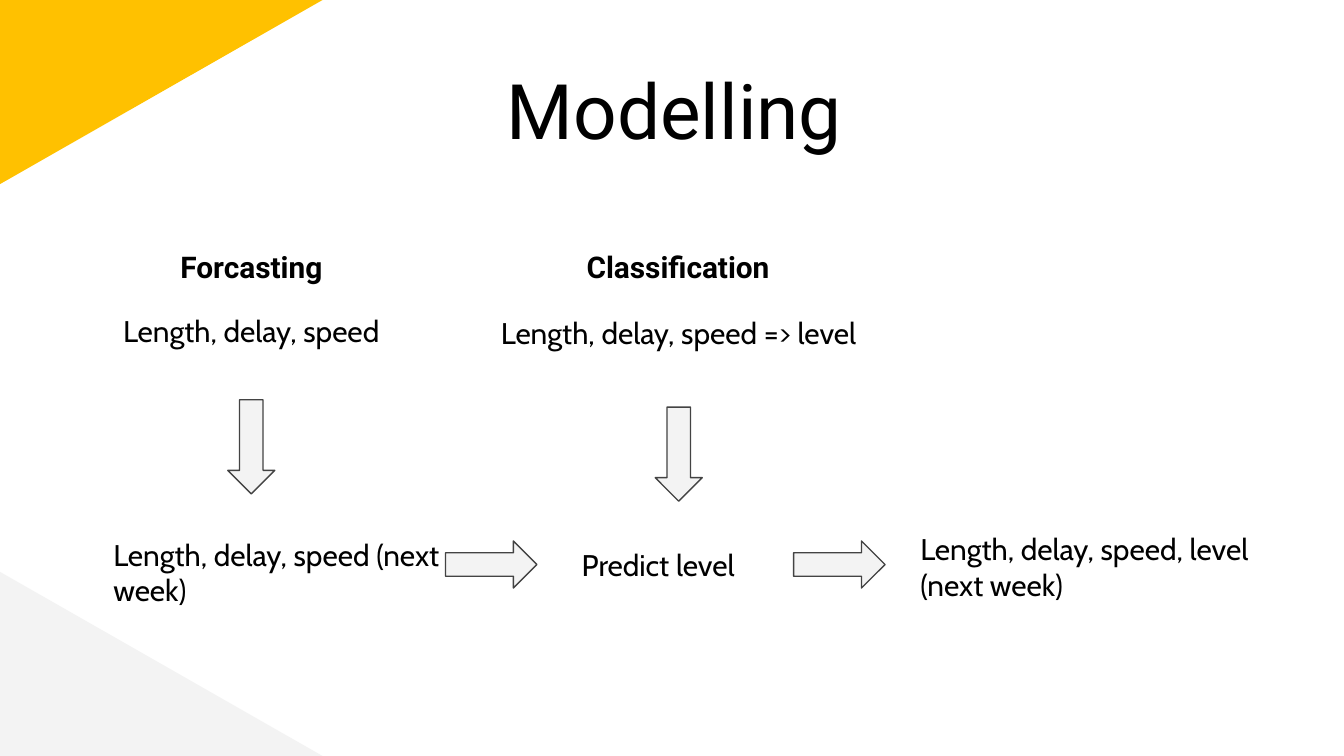
import dataclasses

import pptx
import pptx.dml.color
import pptx.enum.shapes
import pptx.enum.text
import pptx.util

PX = 4572  # EMU per px, 200 px to the inch
W, H = 2000, 1125
SHAPE = pptx.enum.shapes.MSO_SHAPE
ALIGN = pptx.enum.text.PP_ALIGN

HEADING = {"name": "Roboto", "size": pptx.util.Pt(41), "bold": False}
SUBHEADING = {"name": "Roboto", "size": pptx.util.Pt(16), "bold": True}
BODY = {"name": "Cabin", "size": pptx.util.Pt(16), "bold": False}


@dataclasses.dataclass
class Label:
    text: str
    x: int
    y: int
    w: int
    h: int
    fmt: dict
    align: int = ALIGN.LEFT


@dataclasses.dataclass
class Arrow:
    x: int
    y: int
    length: int
    rotation: int = 0


LABELS = [
    Label("Modelling", 118, 74, 1772, 126, HEADING, ALIGN.CENTER),
    Label("Forcasting", 175, 350, 398, 126, SUBHEADING, ALIGN.CENTER),
    Label("Classification", 744, 350, 530, 126, SUBHEADING, ALIGN.CENTER),
    Label("Length, delay, speed", 102, 446, 544, 92, BODY, ALIGN.CENTER),
    Label("Length, delay, speed => level", 654, 448, 712, 92, BODY, ALIGN.CENTER),
    Label("Length, delay, speed (next week)", 149, 778, 544, 126, BODY),
    Label("Predict level", 846, 794, 316, 92, BODY),
    Label("Length, delay, speed, level (next week)", 1350, 770, 580, 140, BODY),
]

# A rotation of 270 turns a down arrow to the right
ARROWS = [
    Arrow(339, 595, 140),
    Arrow(975, 606, 140),
    Arrow(696, 772, 136, 270),
    Arrow(1214, 772, 136, 270),
]


def rgb(value: str) -> pptx.dml.color.RGBColor:
    return pptx.dml.color.RGBColor.from_string(value)


def emu(*lengths: int) -> list[int]:
    return [n * PX for n in lengths]


def add_shape(slide, kind, x: int, y: int, w: int, h: int, fill: str, line: str = ""):
    s = slide.shapes.add_shape(kind, *emu(x, y, w, h))
    s.shadow.inherit = False
    s.fill.solid()
    s.fill.fore_color.rgb = rgb(fill)
    if line:
        s.line.color.rgb = rgb(line)
        s.line.width = pptx.util.Pt(0.75)
    else:
        s.line.fill.background()
    return s


def add_arrow(slide, arrow: Arrow) -> None:
    s = add_shape(slide, SHAPE.DOWN_ARROW, arrow.x, arrow.y, 70, arrow.length,
                  "F3F3F3", "434343")
    s.rotation = arrow.rotation


def add_label(slide, label: Label) -> None:
    tf = slide.shapes.add_textbox(*emu(label.x, label.y, label.w, label.h)).text_frame
    tf.word_wrap = True
    for side in ("left", "top", "right", "bottom"):
        setattr(tf, f"margin_{side}", 20 * PX)
    p = tf.paragraphs[0]
    p.alignment = label.align
    r = p.add_run()
    r.text = label.text
    for name, value in label.fmt.items():
        setattr(r.font, name, value)
    r.font.color.rgb = rgb("000000")


def main() -> None:
    prs = pptx.Presentation()
    prs.slide_width, prs.slide_height = emu(W, H)
    slide = prs.slides.add_slide(prs.slide_layouts[6])
    slide.background.fill.solid()
    slide.background.fill.fore_color.rgb = rgb("FFFFFF")

    # Corner triangles, the upper one turned upside down
    upper = add_shape(slide, SHAPE.RIGHT_TRIANGLE, 0, 0, 480, 274, "FFC100")
    upper.rotation = 180
    upper._element.spPr.get_or_add_xfrm().set("flipH", "1")
    add_shape(slide, SHAPE.RIGHT_TRIANGLE, 0, H - 274, 480, 274, "F3F3F3")

    # Flow of the two models
    for arrow in ARROWS:
        add_arrow(slide, arrow)
    for label in LABELS:
        add_label(slide, label)

    prs.save("out.pptx")


if __name__ == "__main__":
    main()
